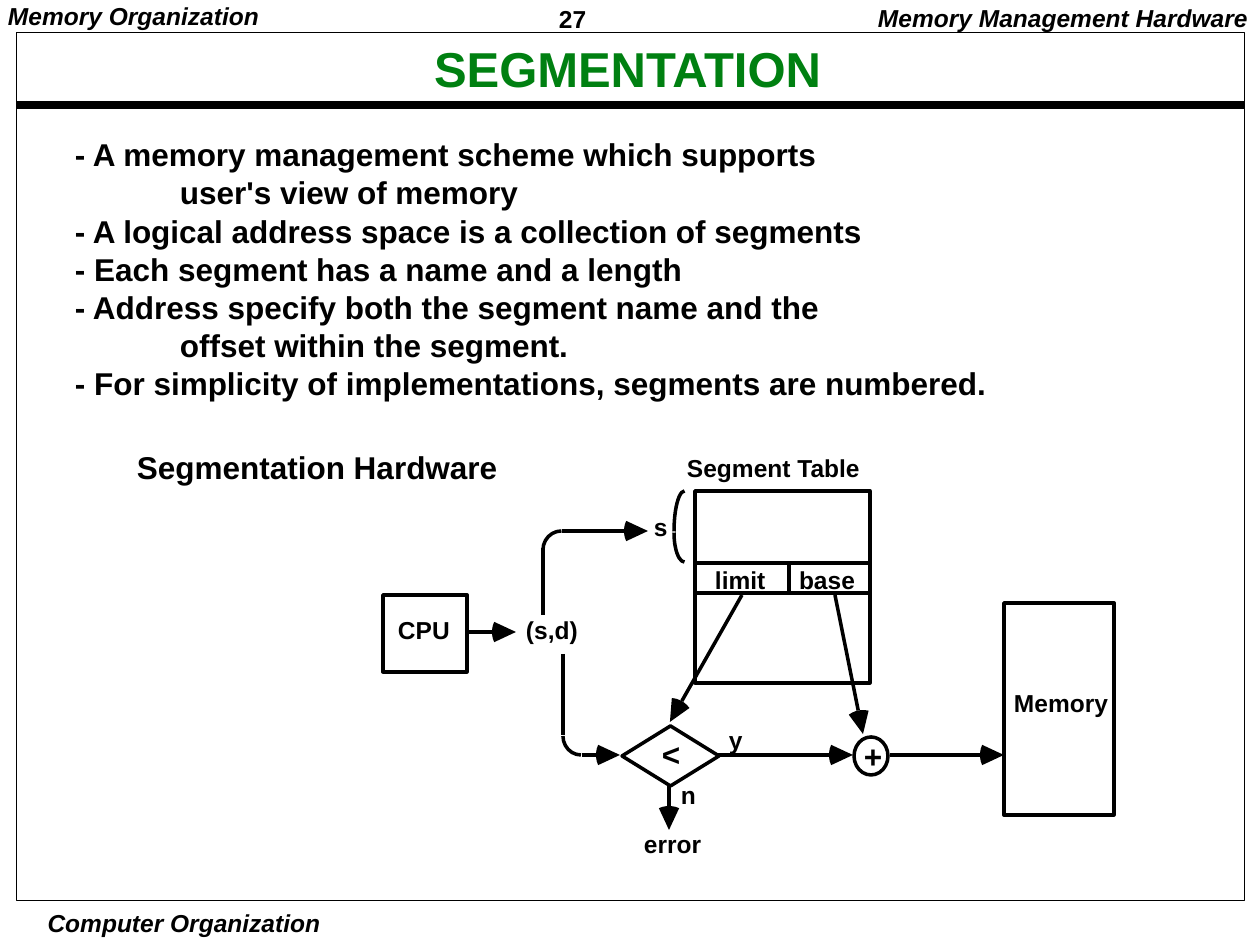
from math import atan2, cos, radians, sin

from lxml.etree import SubElement
from pptx import Presentation
from pptx.dml.color import RGBColor
from pptx.enum.shapes import MSO_CONNECTOR, MSO_SHAPE
from pptx.enum.text import MSO_ANCHOR, MSO_AUTO_SIZE, PP_ALIGN
from pptx.oxml.ns import qn
from pptx.util import Emu, Pt

EMU_PER_PX = 914400 / 126


def px(length):
    return Emu(round(length * EMU_PER_PX))


def color(hex_string):
    return RGBColor.from_string(hex_string)


class SlideBuilder:
    INK, PAPER, GREEN = "000000", "FFFFFF", "008011"
    FONT = {"name": "Arial", "bold": True}
    STROKE = 2
    HEAD_LENGTH, HEAD_HALF_ANGLE = 24, 25

    def __init__(self, slide):
        self.slide = slide
        self.shapes = slide.shapes

    def text(self, lines, left, top, width, height, size=14, ink=INK, italic=False,
             align=PP_ALIGN.LEFT, spacing=0.9, inset=(12, 6), anchor=MSO_ANCHOR.TOP):
        """Each line is a string, or a (string, left margin) pair."""
        frame = self.shapes.add_textbox(px(left), px(top), px(width), px(height)).text_frame
        across, down = (px(side) for side in inset)
        frame_format = {
            "margin_left": across, "margin_right": across,
            "margin_top": down, "margin_bottom": down,
            "word_wrap": True, "vertical_anchor": anchor,
            "auto_size": MSO_AUTO_SIZE.NONE,
        }
        for name, value in frame_format.items():
            setattr(frame, name, value)
        for index, line in enumerate(lines):
            words, indent = line if isinstance(line, tuple) else (line, 0)
            paragraph = frame.paragraphs[0] if index == 0 else frame.add_paragraph()
            paragraph.alignment, paragraph.line_spacing = align, spacing
            if indent:
                paragraph._p.get_or_add_pPr().set("marL", str(px(indent)))
            run = paragraph.add_run()
            run.text = words
            for name, value in {**self.FONT, "size": Pt(size), "italic": italic}.items():
                setattr(run.font, name, value)
            run.font.color.rgb = color(ink)

    def paint(self, shape, fill, stroke):
        shape.shadow.inherit = False
        if fill:
            shape.fill.solid()
            shape.fill.fore_color.rgb = color(fill)
        else:
            shape.fill.background()
        if stroke:
            shape.line.color.rgb = color(self.INK)
            shape.line.width = Pt(stroke)
        else:
            shape.line.fill.background()

    def outline(self, kind, left, top, width, height, fill=None, stroke=STROKE):
        shape = self.shapes.add_shape(kind, px(left), px(top), px(width), px(height))
        self.paint(shape, fill, stroke)
        return shape

    def arc(self, left, top, width, height, start_degrees):
        quarter = self.outline(MSO_SHAPE.ARC, left, top, width, height)
        # Arc angles are stored in 1/60000 degree, adjustments in 1/100000
        quarter.adjustments[0] = start_degrees * 0.6
        quarter.adjustments[1] = (start_degrees + 90) * 0.6

    def line(self, x1, y1, x2, y2, stroke=STROKE):
        connector = self.shapes.add_connector(
            MSO_CONNECTOR.STRAIGHT, px(x1), px(y1), px(x2), px(y2))
        connector.line.color.rgb = color(self.INK)
        connector.line.width = Pt(stroke)
        SubElement(connector._element.spPr, qn("a:effectLst"))

    def arrow(self, x1, y1, tip_x, tip_y):
        """A line ending in a head with a rounded back."""
        back = atan2(y1 - tip_y, x1 - tip_x)
        length, half = self.HEAD_LENGTH, self.HEAD_HALF_ANGLE

        def rim(angle):
            return tip_x + length * cos(angle), tip_y + length * sin(angle)

        self.line(x1, y1, *rim(back))
        rounded_back = [rim(back + radians(turn)) for turn in range(-half, half + 1, 10)]
        head = self.shapes.build_freeform(px(tip_x), px(tip_y))
        head.add_line_segments([(px(x), px(y)) for x, y in rounded_back], close=True)
        self.paint(head.convert_to_shape(), self.INK, None)


def main():
    deck = Presentation()
    deck.slide_width, deck.slide_height = px(1260), px(945)
    page = SlideBuilder(deck.slides.add_slide(deck.slide_layouts[6]))

    # Page frame, headers and footer
    page.text(["27"], 550, 0, 136, 37, spacing=1.01, inset=(9, 4))
    page.text(["Memory Organization"], -1, 0, 290, 34, italic=True, inset=(9, 4))
    page.text(["Memory Management Hardware"], 840, 0, 420, 39, italic=True,
              align=PP_ALIGN.RIGHT)
    page.text(["Computer Organization"], 24, 907, 320, 33, italic=True,
              align=PP_ALIGN.CENTER, spacing=1.0, inset=(4, 1))
    page.line(16, 105, 1244, 105, stroke=4.5)
    page.outline(MSO_SHAPE.RECTANGLE, 16, 33, 1228, 868, stroke=0.5)

    # Title and points
    page.text(["SEGMENTATION"], 55, 37, 1145, 70, size=28, ink=page.GREEN,
              align=PP_ALIGN.CENTER, inset=(9, 4), anchor=MSO_ANCHOR.MIDDLE)
    continuation = 105
    page.text([
        "- A memory management scheme which supports",
        ("user's view of memory", continuation),
        "- A logical address space is a collection of segments",
        "- Each segment has a name and a length",
        "- Address specify both the segment name and the",
        ("offset within the segment.", continuation),
        "- For simplicity of implementations, segments are numbered.",
    ], 66, 131, 960, 275, size=18, spacing=1.01, inset=(9, 4))
    page.text(["Segmentation Hardware"], 128, 443, 410, 45, size=18, spacing=1.02,
              inset=(9, 4))

    # Hardware blocks: segment table, CPU, memory, adder, comparator
    for kind, *box in (
        (MSO_SHAPE.RECTANGLE, 695, 491, 175, 192),
        (MSO_SHAPE.RECTANGLE, 383, 595, 84, 77),
        (MSO_SHAPE.RECTANGLE, 1004, 603, 110, 212),
        (MSO_SHAPE.OVAL, 854, 737, 34, 38),
        (MSO_SHAPE.DIAMOND, 622, 726, 97, 60),
    ):
        page.outline(kind, *box, fill=page.PAPER)

    # Table rules, then the straight parts of the s and d paths
    for ends in (
        (695, 563, 870, 563), (695, 593, 870, 593), (789, 564, 789, 591),
        (543, 615, 543, 548), (563, 654, 563, 735),
    ):
        page.line(*ends)

    # Path corners and the bracket beside the table
    for corner in (
        (543, 531, 37, 38, 180), (563, 717, 36, 38, 90),
        (674, 491, 21, 81, 180), (674, 503, 21, 59, 90),
    ):
        page.arc(*corner)

    # Data flow
    for flow in (
        (469, 632, 516, 632), (562, 531, 648, 531), (582, 755, 620, 755),
        (718, 755, 853, 755), (890, 755, 1004, 755), (742, 595, 670, 722),
        (835, 595, 863, 734), (669, 786, 669, 830),
    ):
        page.arrow(*flow)

    # Labels
    for label, left, top, width in (
        ("Segment Table", 675, 450, 220), ("limit", 703, 562, 90),
        ("base", 787, 562, 95), ("CPU", 386, 612, 90), ("(s,d)", 514, 612, 90),
        ("s", 642, 509, 50), ("Memory", 1002, 685, 140), ("y", 717, 722, 50),
        ("n", 669, 777, 50), ("error", 632, 826, 100),
    ):
        page.text([label], left, top, width, 39)
    for operator, left, top in (("<", 650, 733), ("+", 852, 735)):
        page.text([operator], left, top, 55, 47, size=18)

    deck.save("out.pptx")


if __name__ == "__main__":
    main()
